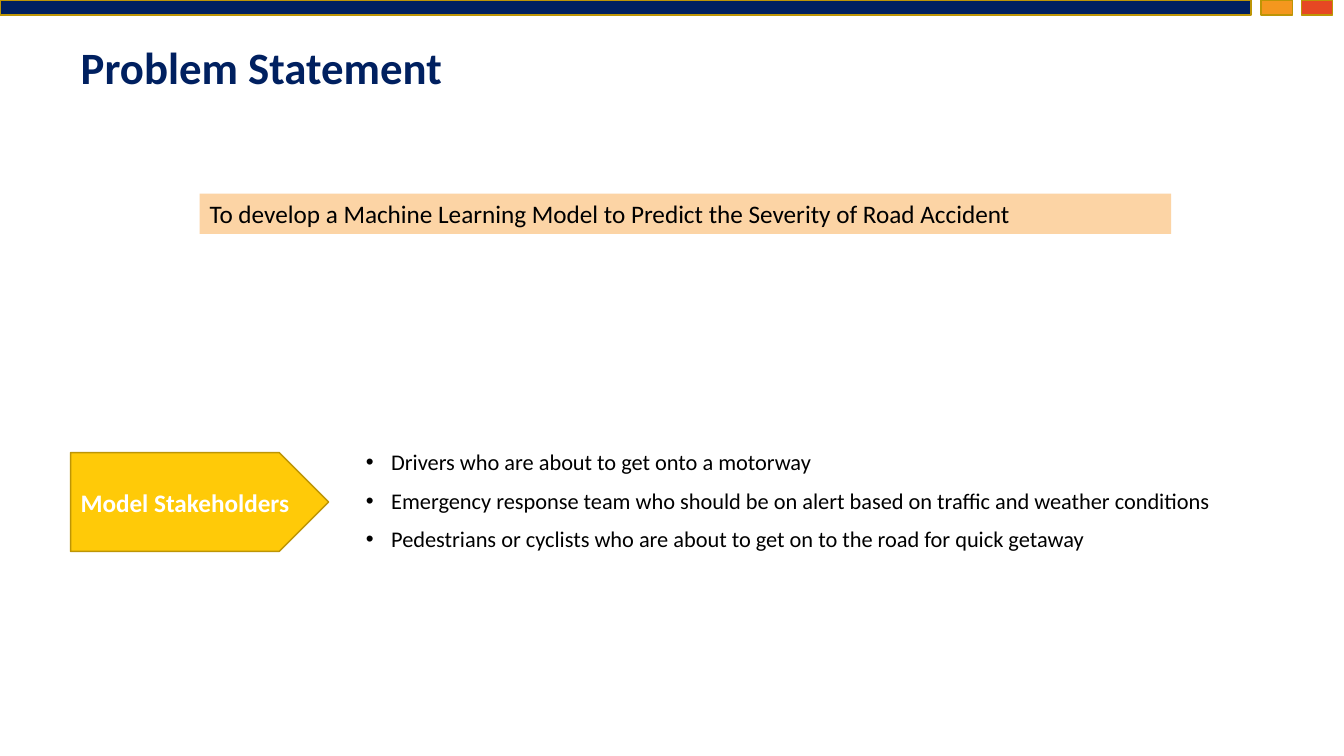
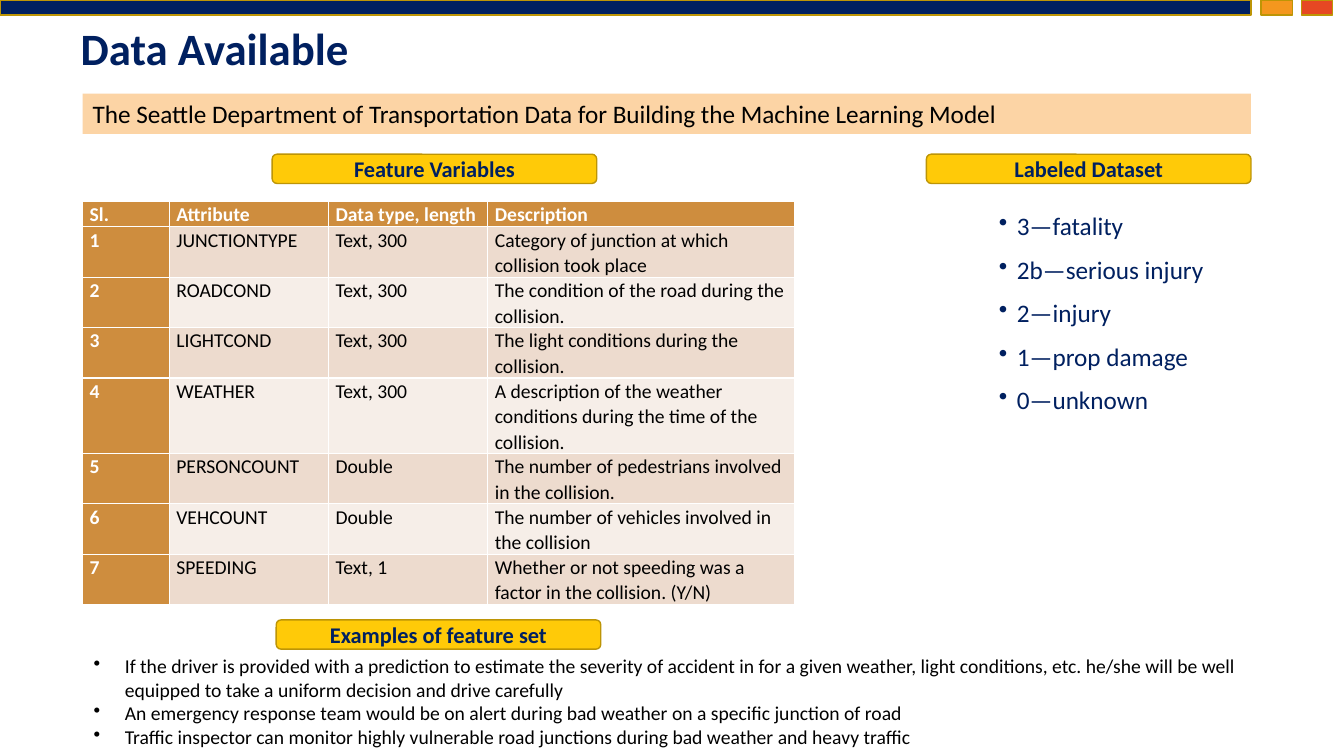
import math
from dataclasses import dataclass

import pptx
import pptx.dml.color
import pptx.enum.shapes
import pptx.enum.text
import pptx.oxml
import pptx.oxml.ns
import pptx.util

Shape = pptx.enum.shapes.MSO_SHAPE
Anchor = pptx.enum.text.MSO_ANCHOR
Align = pptx.enum.text.PP_ALIGN
AutoSize = pptx.enum.text.MSO_AUTO_SIZE


@dataclass(frozen=True)
class Theme:
    font: str = "Calibri"
    navy: str = "002060"
    orange: str = "F4971E"
    red: str = "E64823"
    gold: str = "FFCA08"
    outline: str = "BD9506"
    peach: str = "FCD4A5"
    copper: str = "CE8D3E"
    stripes: tuple = ("EDDBCE", "F6EEE8")
    black: str = "000000"
    white: str = "FFFFFF"
    title_size: int = 32
    lead_size: int = 18
    body_size: int = 16
    small_size: int = 14


THEME = Theme()
SLIDE_WIDTH = pptx.util.Inches(13.33)
SLIDE_HEIGHT = pptx.util.Inches(7.5)

# Shares of the slide, in percent of its width or height
TITLE_LEFT = 5.25
CONTENT_LEFT = 6.15
CONTENT_RIGHT = 93.08
BAND_HEIGHT = 2
BANNER_HEIGHT = 5.33
BLOCK_HEIGHT = 13.07
LABEL_WIDTH, LABEL_HEIGHT = 24.15, 3.87
TABLE_COLUMNS = (6.45, 11.85, 11.85, 22.8)
TABLE_LINE = 3.33
DESCRIPTION_CHARACTERS = 34

STAKEHOLDERS = [
    "Drivers who are about to get onto a motorway",
    "Emergency response team who should be on alert based on traffic and weather conditions",
    "Pedestrians or cyclists who are about to get on to the road for quick getaway",
]
FEATURES = [
    ("Sl.", "Attribute", "Data type, length", "Description"),
    ("1", "JUNCTIONTYPE", "Text, 300", "Category of junction at which collision took place"),
    ("2", "ROADCOND", "Text, 300", "The condition of the road during the collision."),
    ("3", "LIGHTCOND", "Text, 300", "The light conditions during the collision."),
    ("4", "WEATHER", "Text, 300",
     "A description of the weather conditions during the time of the collision."),
    ("5", "PERSONCOUNT", "Double", "The number of pedestrians involved in the collision."),
    ("6", "VEHCOUNT", "Double", "The number of vehicles involved in the collision"),
    ("7", "SPEEDING", "Text, 1", "Whether or not speeding was a factor in the collision. (Y/N)"),
]
SEVERITIES = ["3—fatality", "2b—serious injury", "2—injury", "1—prop damage", "0—unknown"]
EXAMPLES = [
    "If the driver is provided with a prediction to estimate the severity of accident in for a "
    "given weather, light conditions, etc. he/she will be well equipped to take a uniform "
    "decision and drive carefully",
    "An emergency response team would be on alert during bad weather on a specific junction of road",
    "Traffic inspector can monitor highly vulnerable road junctions during bad weather and heavy traffic",
]


def across(percent):
    return round(SLIDE_WIDTH * percent / 100)


def down(percent):
    return round(SLIDE_HEIGHT * percent / 100)


def box(left, top, width, height):
    return across(left), down(top), across(width), down(height)


def rgb(value):
    return pptx.dml.color.RGBColor.from_string(value)


def add_bullet(paragraph, indent):
    properties = paragraph._p.get_or_add_pPr()
    hanging = pptx.util.Inches(indent)
    properties.set("marL", str(hanging))
    properties.set("indent", str(-hanging))
    bullet = pptx.oxml.parse_xml(f'<a:buChar {pptx.oxml.ns.nsdecls("a")} char="•"/>')
    properties.append(bullet)


def write_text(frame, lines, size=THEME.body_size, color=THEME.black, bold=False,
               align=Align.LEFT, anchor=Anchor.TOP, spacing=1.0, before=0, after=0,
               bullet_indent=None, auto_size=AutoSize.NONE):
    """Fill a text frame with one paragraph for each line."""
    frame.word_wrap = True
    frame.auto_size = auto_size
    frame.vertical_anchor = anchor
    for index, line in enumerate(lines):
        paragraph = frame.add_paragraph() if index else frame.paragraphs[0]
        paragraph.alignment = align
        paragraph.line_spacing = spacing
        paragraph.space_before = pptx.util.Pt(before)
        paragraph.space_after = pptx.util.Pt(after)
        if bullet_indent is not None:
            add_bullet(paragraph, bullet_indent)
        run = paragraph.add_run()
        run.text = line
        run.font.name = THEME.font
        run.font.size = pptx.util.Pt(size)
        run.font.bold = bold
        run.font.color.rgb = rgb(color)


def add_block(slide, kind, bounds, fill, outline=THEME.outline):
    shape = slide.shapes.add_shape(kind, *box(*bounds))
    shape.shadow.inherit = False
    shape.fill.solid()
    shape.fill.fore_color.rgb = rgb(fill)
    if outline:
        shape.line.color.rgb = rgb(outline)
        shape.line.width = pptx.util.Pt(1)
    else:
        shape.line.fill.background()
    return shape


def add_banner(slide, text, left, top, width):
    banner = add_block(slide, Shape.RECTANGLE, (left, top, width, BANNER_HEIGHT),
                       THEME.peach, outline=None)
    write_text(banner.text_frame, [text], size=THEME.lead_size,
               auto_size=AutoSize.SHAPE_TO_FIT_TEXT)


def add_label(slide, text, left, top):
    label = add_block(slide, Shape.ROUNDED_RECTANGLE,
                      (left, top, LABEL_WIDTH, LABEL_HEIGHT), THEME.gold)
    write_text(label.text_frame, [text], color=THEME.navy, bold=True,
               align=Align.CENTER, anchor=Anchor.MIDDLE)


def add_list(slide, lines, bounds, **text_format):
    text_box = slide.shapes.add_textbox(*box(*bounds))
    write_text(text_box.text_frame, lines, auto_size=AutoSize.SHAPE_TO_FIT_TEXT, **text_format)


def move(shape, *bounds):
    shape.left, shape.top, shape.width, shape.height = box(*bounds)


def add_slide(presentation, layout_name, title, title_height):
    """Add a slide with the shared title style and top band."""
    layout = presentation.slide_layouts.get_by_name(layout_name)
    slide = presentation.slides.add_slide(layout)
    move(slide.shapes.title, TITLE_LEFT, 2.67, 86.25, title_height)
    write_text(slide.shapes.title.text_frame, [title], size=THEME.title_size,
               color=THEME.navy, bold=True, anchor=Anchor.MIDDLE, spacing=0.9)
    add_block(slide, Shape.RECTANGLE, (0, 0, CONTENT_RIGHT, BAND_HEIGHT), THEME.navy)
    for index, color in enumerate((THEME.orange, THEME.red)):
        left = CONTENT_RIGHT + 0.75 + 3 * index
        add_block(slide, Shape.RECTANGLE, (left, 0, 2.33, BAND_HEIGHT), color)
    return slide


def add_feature_table(slide, rows, left, top):
    line_counts = [math.ceil(len(row[-1]) / DESCRIPTION_CHARACTERS) for row in rows]
    bounds = box(left, top, sum(TABLE_COLUMNS), TABLE_LINE * sum(line_counts))
    table = slide.shapes.add_table(len(rows), len(TABLE_COLUMNS), *bounds).table
    table.first_col = True
    for column, width in zip(table.columns, TABLE_COLUMNS):
        column.width = across(width)
    for row_index, values in enumerate(rows):
        table.rows[row_index].height = down(TABLE_LINE * line_counts[row_index])
        for column_index, value in enumerate(values):
            is_header = row_index == 0 or column_index == 0
            cell = table.cell(row_index, column_index)
            cell.margin_left = cell.margin_right = pptx.util.Inches(0.07)
            cell.margin_top = cell.margin_bottom = 0
            cell.fill.solid()
            stripe = THEME.stripes[(row_index - 1) % 2]
            cell.fill.fore_color.rgb = rgb(THEME.copper if is_header else stripe)
            write_text(cell.text_frame, [value], size=THEME.small_size, bold=is_header,
                       color=THEME.white if is_header else THEME.black, spacing=1.07)


def build_problem_slide(presentation):
    slide = add_slide(presentation, "Title and Content", "Problem Statement", BLOCK_HEIGHT)
    body = slide.placeholders[1]
    move(body, 26.48, 59.07, 71.55, 14.8)
    write_text(body.text_frame, STAKEHOLDERS, spacing=0.9, before=10, bullet_indent=0.25)
    arrow = add_block(slide, Shape.PENTAGON, (TITLE_LEFT, 59.87, 19.2, BLOCK_HEIGHT), THEME.gold)
    write_text(arrow.text_frame, ["Model Stakeholders"], size=THEME.lead_size,
               color=THEME.white, bold=True, anchor=Anchor.MIDDLE)
    add_banner(slide, "To develop a Machine Learning Model to Predict the Severity of Road Accident",
               14.85, 25.6, 72.3)


def build_data_slide(presentation):
    slide = add_slide(presentation, "Title Only", "Data Available", 8.27)
    add_banner(slide, "The Seattle Department of Transportation Data for Building the "
               "Machine Learning Model", CONTENT_LEFT, 12.4, CONTENT_RIGHT - CONTENT_LEFT)
    add_feature_table(slide, FEATURES, CONTENT_LEFT, 26.67)
    add_label(slide, "Feature Variables", 20.25, 20.4)
    add_label(slide, "Labeled Dataset", CONTENT_RIGHT - LABEL_WIDTH, 20.4)
    add_list(slide, SEVERITIES, (73.58, 26.93, 19.5, 28.8), size=THEME.lead_size,
             color=THEME.navy, spacing=1.07, after=8, bullet_indent=0.18)
    add_list(slide, EXAMPLES, (6.23, 85.87, 87.6, 13.87), size=THEME.small_size,
             bullet_indent=0.31)
    add_label(slide, "Examples of feature set", 20.55, 82)


def main():
    presentation = pptx.Presentation()
    presentation.slide_width = SLIDE_WIDTH
    presentation.slide_height = SLIDE_HEIGHT
    build_problem_slide(presentation)
    build_data_slide(presentation)
    presentation.save("out.pptx")


if __name__ == "__main__":
    main()
